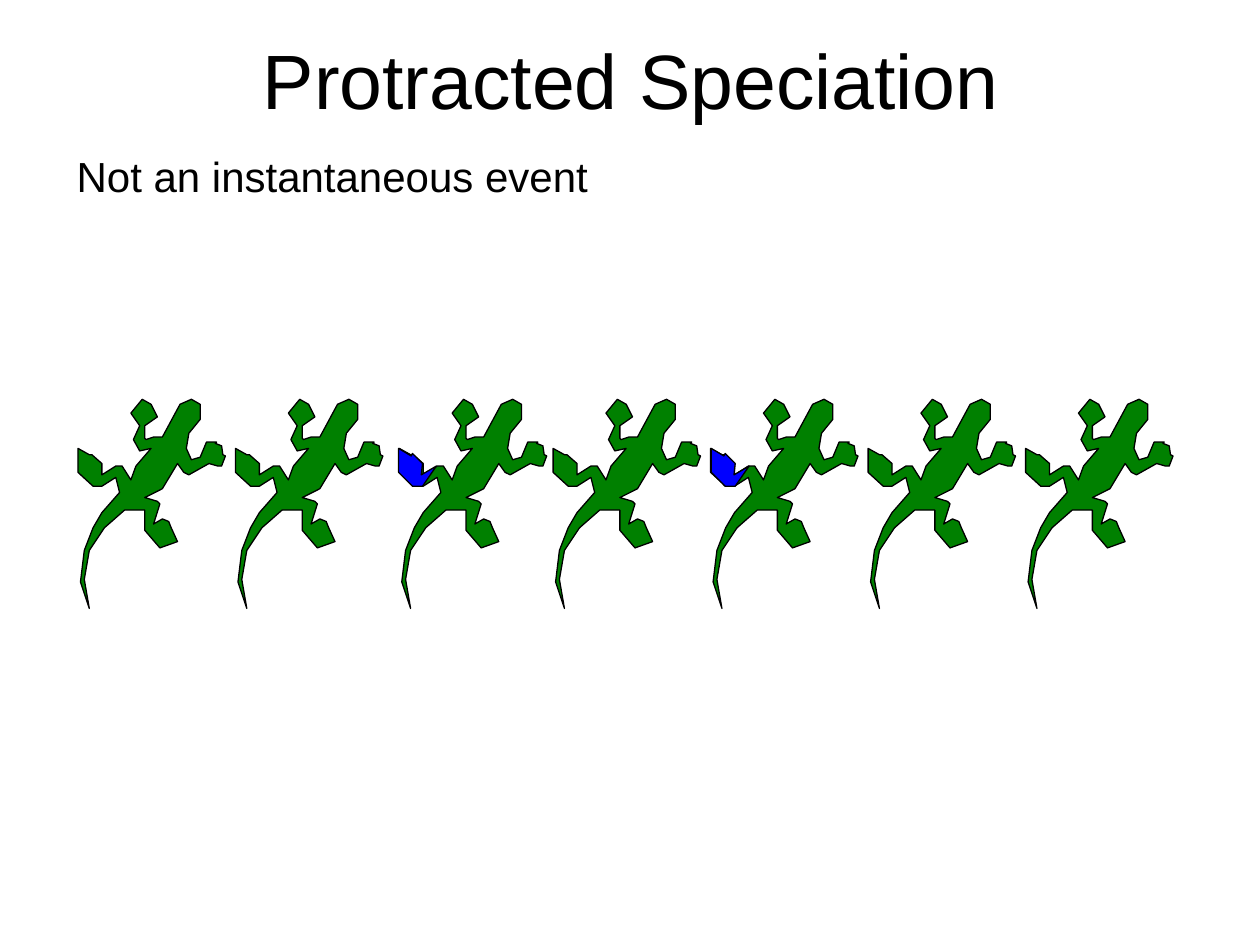
from dataclasses import dataclass

from pptx import Presentation
from pptx.dml.color import RGBColor
from pptx.enum import text
from pptx.util import Pt


@dataclass(frozen=True)
class Theme:
    font: str = "Arial"
    title_size: float = 44
    body_size: float = 24
    ink: RGBColor = RGBColor(0, 0, 0)
    lizard: RGBColor = RGBColor(0x00, 0x80, 0x00)
    mutant_foot: RGBColor = RGBColor(0x00, 0x00, 0xFF)


theme = Theme()
UNIT = Pt(0.72)  # outlines are drawn in hundredths of an inch

LIZARD = [
    (97, 4), (90, 0), (81, 4), (67, 30), (60, 30), (54, 32), (53, 31), (53, 21),
    (63, 14), (58, 4), (51, 0), (42, 11), (49, 21), (44, 32), (49, 41), (58, 39),
    (46, 53), (42, 64), (35, 53), (30, 53), (19, 60), (19, 51), (11, 44), (9, 44),
    (0, 39), (0, 58), (12, 69), (19, 69), (30, 62), (33, 74), (19, 90), (12, 102),
    (5, 120), (2, 145), (9, 166), (5, 143), (9, 120), (21, 102), (37, 88), (53, 88),
    (53, 104), (65, 118), (79, 113), (74, 102), (72, 97), (67, 95), (60, 99), (65, 83),
    (63, 81), (53, 78), (67, 71), (79, 51), (84, 58), (88, 60), (104, 51), (111, 53),
    (114, 53), (117, 45), (115, 44), (114, 37), (109, 35), (110, 34), (102, 34), (97, 46),
    (90, 48), (86, 39), (88, 27), (97, 16),
]
FOOT = [(30, 53), (18, 60), (19, 51), (11, 43), (10, 45), (0, 39), (0, 58), (11, 69), (19, 69)]


def add_outline(points, left, color):
    builder = slide.shapes.build_freeform(*points[0], scale=UNIT)
    builder.add_line_segments(points[1:], close=True)
    outline = builder.convert_to_shape(Pt(left), Pt(228.2))
    outline.shadow.inherit = False
    outline.fill.solid()
    outline.fill.fore_color.rgb = color
    outline.line.color.rgb = theme.ink
    outline.line.width = Pt(0.75)


def write(paragraph, words, size):
    run = paragraph.add_run()
    run.text = words
    run.font.name = theme.font
    run.font.size = Pt(size)
    run.font.color.rgb = theme.ink


prs = Presentation()
prs.slide_width, prs.slide_height = Pt(720), Pt(540)
slide = prs.slides.add_slide(prs.slide_layouts[5])

title = slide.shapes.title
title.left, title.top, title.width, title.height = Pt(36.7), Pt(0), Pt(648), Pt(90)
title.text_frame.vertical_anchor = text.MSO_ANCHOR.MIDDLE
heading = title.text_frame.paragraphs[0]
heading.alignment = text.PP_ALIGN.CENTER
write(heading, "Protracted Speciation", theme.title_size)

body = slide.shapes.add_textbox(Pt(36.7), Pt(85.7), Pt(648), Pt(332))
body.text_frame.word_wrap = True
statement = body.text_frame.paragraphs[0]
statement.line_spacing = 0.9
write(statement, "Not an instantaneous event", theme.body_size)

lizard_lefts = [44.6, 134.6, 228.2, 316.1, 406.1, 496.1, 586.1]
for left in lizard_lefts:
    add_outline(LIZARD, left, theme.lizard)

# The mutant feet sit on the third lizard and just right of the fourth one's span
for left in (lizard_lefts[2] - 0.4, lizard_lefts[4] + 0.4):
    add_outline(FOOT, left, theme.mutant_foot)

prs.save("out.pptx")
